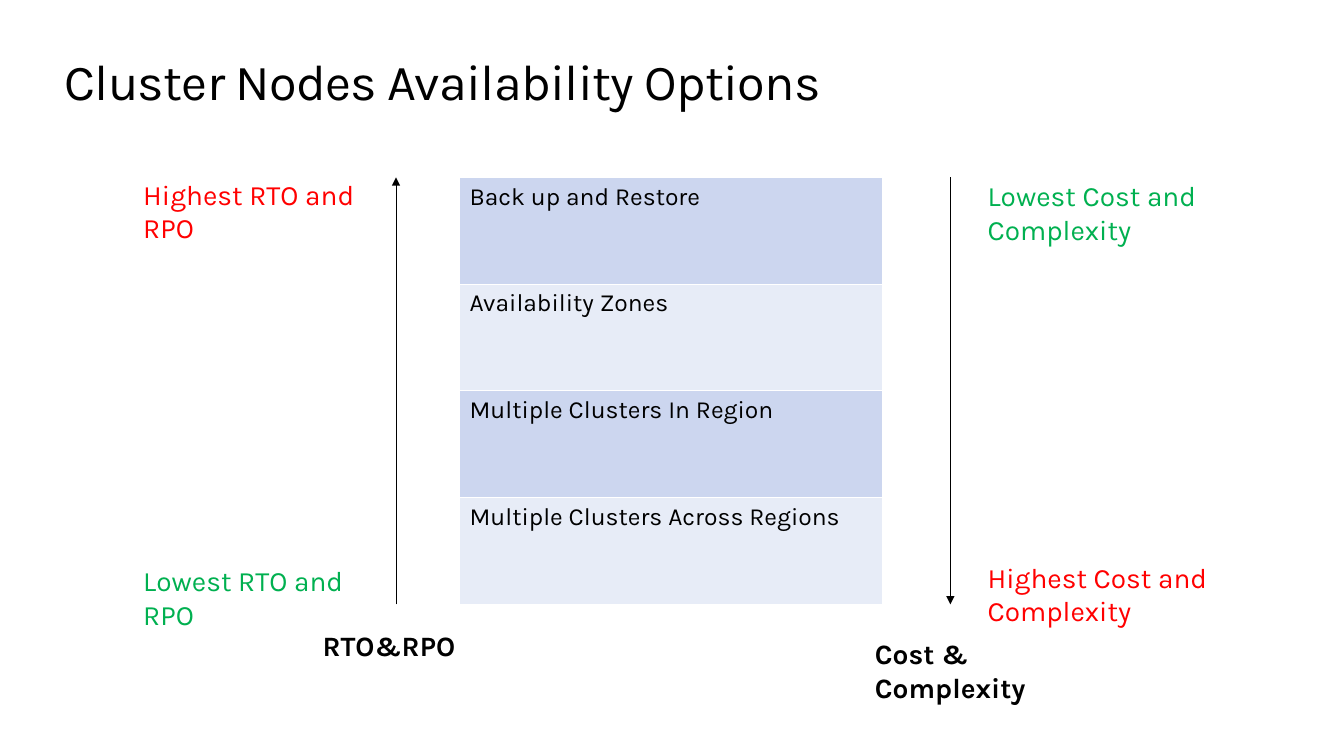
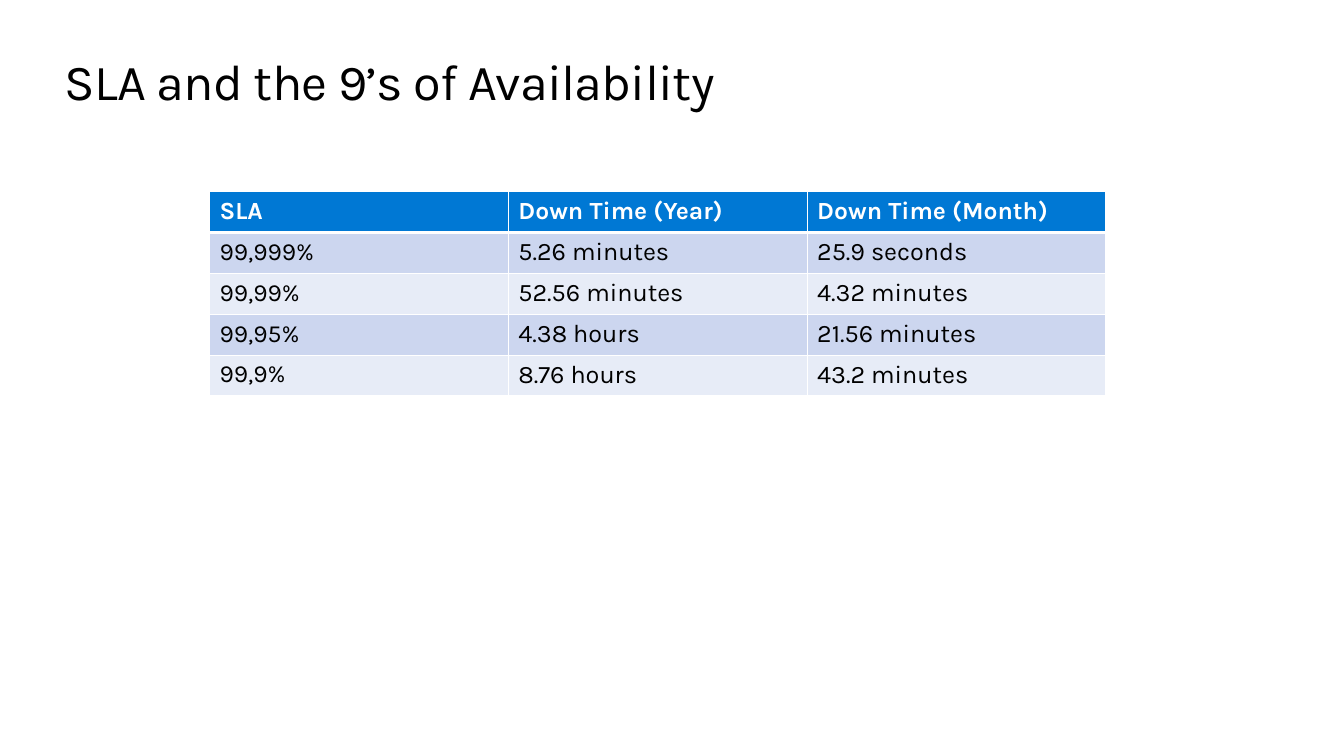
from dataclasses import dataclass

from pptx import Presentation
from pptx.dml.color import RGBColor
from pptx.enum.shapes import MSO_CONNECTOR
from pptx.oxml.ns import qn
from pptx.util import Cm, Pt
from lxml.etree import SubElement


@dataclass(frozen=True)
class Theme:
    font: str = "Karla"
    black: str = "000000"
    white: str = "FFFFFF"
    red: str = "FF0000"
    green: str = "00B050"
    header: str = "0078D4"
    bands: tuple = ("CCD6EF", "E7ECF7")
    title_size: float = 36
    label_size: float = 20
    cell_size: float = 17.6
    value_size: float = 18


theme = Theme()


def add_text(tf, text, size, color, bold=False):
    r = tf.paragraphs[0].add_run()
    r.text = text
    r.font.name = theme.font
    r.font.size = Pt(size)
    r.font.bold = bold
    r.font.color.rgb = RGBColor.from_string(color)
    return r


def add_banded_table(s, rows, left, top, col_width, row_height, header=False):
    """Add a table with white borders and alternating fills, top-left given in cm."""
    n_rows, n_cols = len(rows), len(rows[0])
    table = s.shapes.add_table(n_rows, n_cols, Cm(left), Cm(top),
                               Cm(col_width * n_cols), Cm(row_height * n_rows)).table
    table.first_row = header
    table.horz_banding = False
    for column in table.columns:
        column.width = Cm(col_width)
    for i, values in enumerate(rows):
        table.rows[i].height = Cm(row_height)
        is_header = header and i == 0
        fill = theme.header if is_header else theme.bands[(i - header) % 2]
        for j, value in enumerate(values):
            cell = table.cell(i, j)
            tcPr = cell._tc.get_or_add_tcPr()
            for side in "LRTB":
                thick = (is_header and side == "B") or (header and i == 1 and side == "T")
                ln = SubElement(tcPr, qn(f"a:ln{side}"), w=str(Pt(3 if thick else 1)))
                SubElement(SubElement(ln, qn("a:solidFill")), qn("a:srgbClr"), val=theme.white)
            cell.fill.solid()
            cell.fill.fore_color.rgb = RGBColor.from_string(fill)
            size = theme.cell_size if is_header or j == 0 else theme.value_size
            color = theme.white if is_header else theme.black
            add_text(cell.text_frame, value, size, color, is_header)


prs = Presentation()
prs.slide_width, prs.slide_height = Cm(33.87), Cm(19.05)

slides = []
for title in ("Cluster Nodes Availability Options", "SLA and the 9’s of Availability"):
    s = prs.slides.add_slide(prs.slide_layouts[6])
    tf = s.shapes.add_textbox(Cm(1.63), Cm(1.27), Cm(30.61), Cm(1.55)).text_frame
    tf.word_wrap = True
    tf.margin_left = tf.margin_right = tf.margin_top = tf.margin_bottom = 0
    r = add_text(tf, title, theme.title_size, theme.black)
    r.font._element.set("spc", "-50")
    slides.append(s)
options_slide, sla_slide = slides

# Availability options between two opposing scales
options = ["Back up and Restore", "Availability Zones",
           "Multiple Clusters In Region", "Multiple Clusters Across Regions"]
top, row_height = 4.47, 2.69
bottom = top + row_height * len(options)
add_banded_table(options_slide, [[option] for option in options], 11.58, top, 10.67, row_height)

for x, start, end in ((9.98, bottom, top), (23.95, top, bottom)):
    arrow = options_slide.shapes.add_connector(MSO_CONNECTOR.STRAIGHT,
                                               Cm(x), Cm(start), Cm(x), Cm(end))
    arrow.line.color.rgb = RGBColor.from_string(theme.black)
    arrow.line.width = Pt(0.75)
    SubElement(arrow.line._get_or_add_ln(), qn("a:tailEnd"), type="triangle")
    SubElement(arrow._element.spPr, qn("a:effectLst"))

left_x, right_x, label_width = 3.61, 24.89, 6.2
one_line, two_lines = 0.86, 1.7
labels = [
    ("Highest RTO and RPO", left_x, top, label_width, two_lines, theme.red, False),
    ("Lowest RTO and RPO", left_x, 14.2, label_width, two_lines, theme.green, False),
    ("Highest Cost and Complexity", right_x, 14.12, label_width, two_lines, theme.red, False),
    ("Lowest Cost and Complexity", right_x, 4.5, label_width, two_lines, theme.green, False),
    ("RTO&RPO", 8.13, 15.85, 3.68, one_line, theme.black, True),
    ("Cost & Complexity", 22.05, 16.05, 5.79, two_lines, theme.black, True),
]
for text, x, y, width, height, color, bold in labels:
    tf = options_slide.shapes.add_textbox(Cm(x), Cm(y), Cm(width), Cm(height)).text_frame
    tf.word_wrap = True
    tf.margin_left = tf.margin_right = tf.margin_top = tf.margin_bottom = 0
    add_text(tf, text, theme.label_size, color, bold)

# Permitted down time per SLA level
sla_rows = [
    ("SLA", "Down Time (Year)", "Down Time (Month)"),
    ("99,999%", "5.26 minutes", "25.9 seconds"),
    ("99,99%", "52.56 minutes", "4.32 minutes"),
    ("99,95%", "4.38 hours", "21.56 minutes"),
    ("99,9%", "8.76 hours", "43.2 minutes"),
]
add_banded_table(sla_slide, sla_rows, 5.28, 4.83, 7.53, 1.03, header=True)

prs.save("out.pptx")
